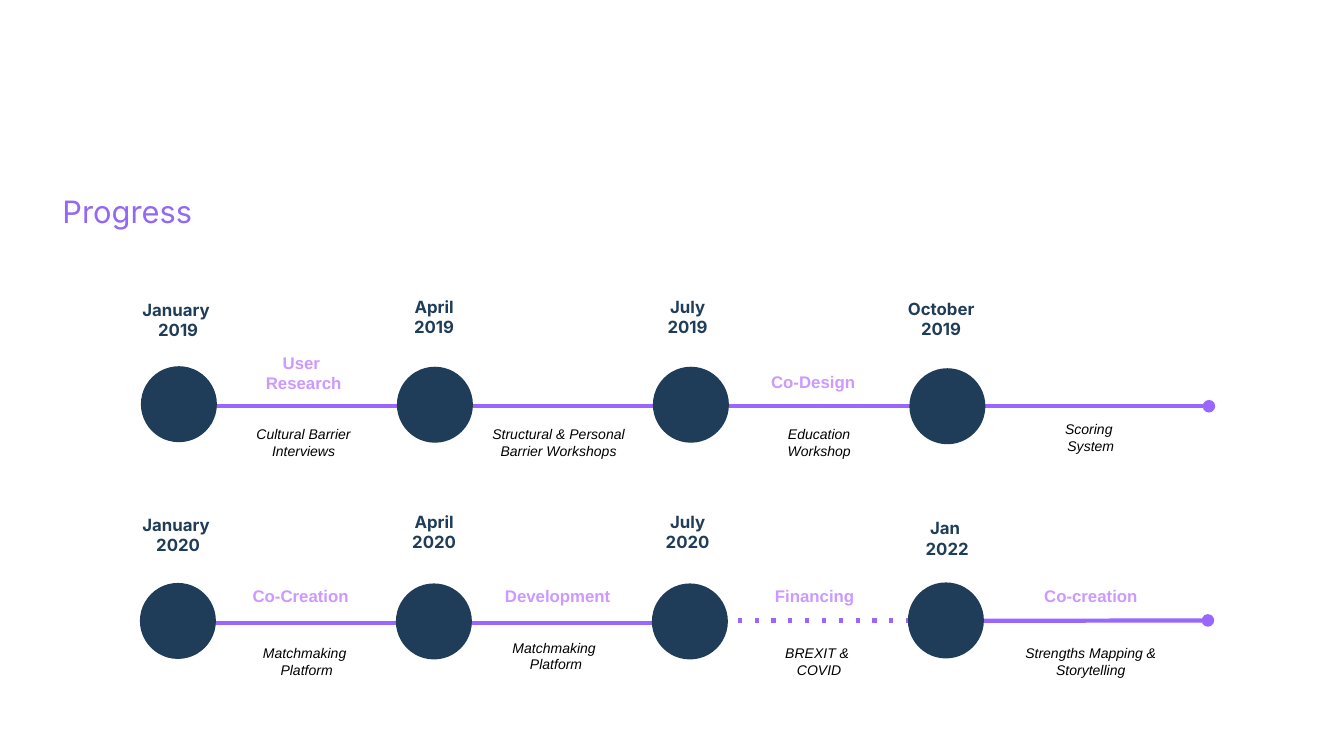
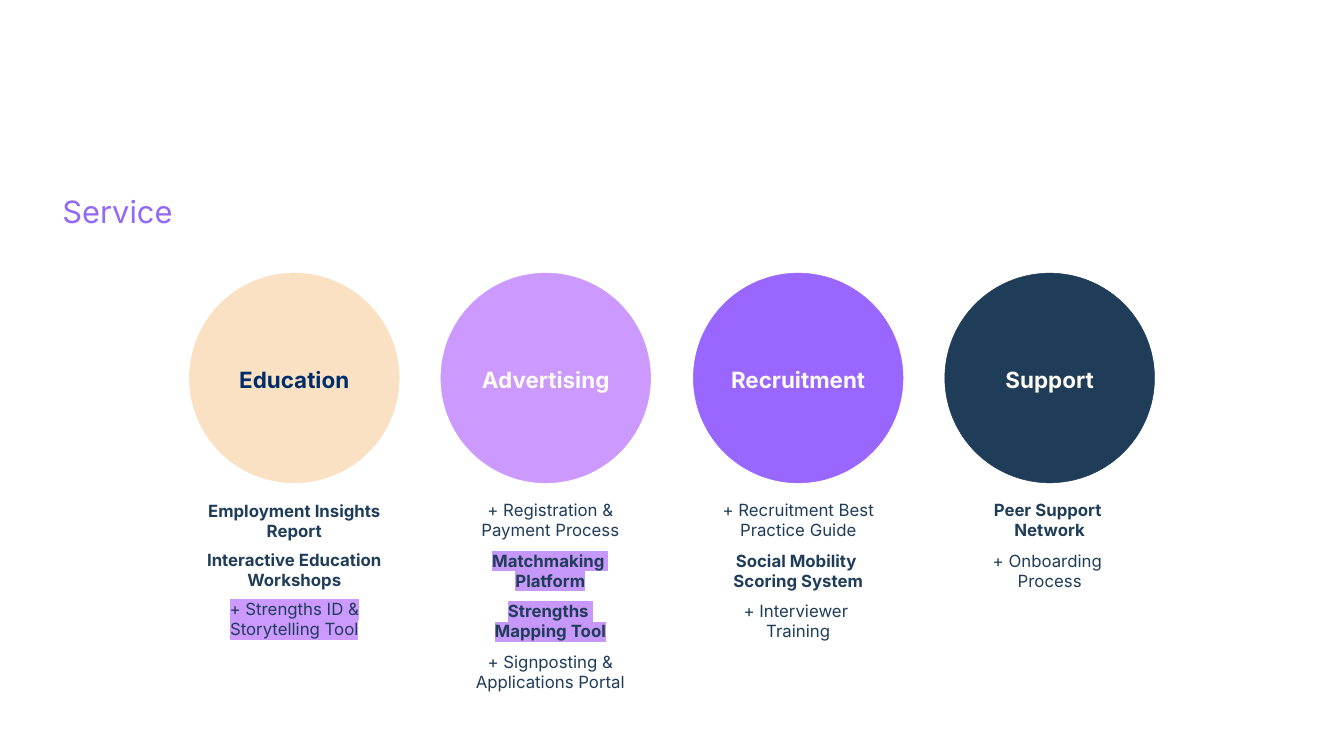
from lxml import etree
from pptx import Presentation
from pptx.dml.color import RGBColor
from pptx.enum import shapes, text
from pptx.oxml import ns
from pptx.util import Inches, Pt

COLORS = {
    "title": "9268F6",
    "navy": "1F3D59",
    "violet": "9966FF",
    "lilac": "CC99FF",
    "soft lilac": "C698F9",
    "sand": "FAE1C4",
    "deep blue": "002D69",
    "cream": "FEFCF3",
    "black": "000000",
}

TITLE_ONLY = 5
DOT = 1.48

# kind of timeline label: width, height, font settings
LABELS = {
    "date": (3.01, 0.91, dict(size=24, color="navy", bold=True)),
    "phase": (3.85, 0.5, dict(size=24, color="lilac", font="Arial", bold=True)),
    "note": (3.85, 0.77, dict(size=20, color="black", font="Arial", italic=True)),
}

# from x, from y, to x, to y, dotted, round ends
TRACKS = [
    (23.99, 8.06, 3.43, 8.06, False, True),
    (18.73, 12.31, 13.69, 12.31, True, False),
    (13.71, 12.36, 3.41, 12.36, False, False),
    (23.97, 12.31, 18.73, 12.32, False, True),
]

MILESTONES = [
    (2.81, 7.28), (7.89, 7.29), (12.97, 7.29), (18.06, 7.32),
    (2.79, 11.58), (7.87, 11.59), (12.95, 11.59), (18.03, 11.57),
]

# kind, left, top, lines
TIMELINE_TEXT = [
    ("date", 2.03, 5.89, ["January ", "2019"]),
    ("date", 7.11, 5.83, ["April", "2019"]),
    ("date", 12.14, 5.83, ["July", "2019"]),
    ("date", 17.17, 5.87, ["October", "2019"]),
    ("phase", 4.1, 6.95, ["User ", "Research"]),
    ("phase", 14.21, 7.32, ["Co-Design"]),
    ("note", 4.1, 8.39, ["Cultural Barrier", "Interviews"]),
    ("note", 9.16, 8.39, ["Structural & Personal", "Barrier Workshops"]),
    ("note", 14.33, 8.4, ["Education", "Workshop"]),
    ("note", 19.72, 8.29, ["Scoring ", "System"]),
    ("date", 2.03, 10.16, ["January ", "2020"]),
    ("date", 7.11, 10.1, ["April", "2020"]),
    ("date", 12.14, 10.1, ["July", "2020"]),
    ("date", 17.29, 10.23, ["Jan ", "2022"]),
    ("phase", 4.04, 11.58, ["Co-Creation"]),
    ("phase", 9.14, 11.58, ["Development"]),
    ("phase", 14.24, 11.58, ["Financing"]),
    ("phase", 19.72, 11.58, ["Co-creation"]),
    ("note", 4.16, 12.74, ["Matchmaking ", "Platform"]),
    ("note", 9.11, 12.63, ["Matchmaking ", "Platform"]),
    ("note", 14.33, 12.74, ["BREXIT & ", "COVID"]),
    ("note", 19.72, 12.74, ["Strengths Mapping & Storytelling"]),
]

# name, circle left, fill, text colour, list left, list top, gap in points,
# offers (lines, bold, highlight)
SERVICES = [
    ("Education", 3.76, "sand", "deep blue", 3.76, 9.88, 12.7, [
        (["Employment Insights Report"], True, None),
        (["Interactive Education Workshops"], True, None),
        (["+ Strengths ID & Storytelling Tool"], False, "lilac"),
    ]),
    ("Advertising", 8.75, "lilac", "cream", 8.84, 9.87, 14.5, [
        (["+ Registration & Payment Process"], False, None),
        (["Matchmaking ", "Platform"], True, "soft lilac"),
        (["Strengths ", "Mapping Tool"], True, "soft lilac"),
        (["+ Signposting &", "Applications Portal"], False, None),
    ]),
    ("Recruitment", 13.76, "violet", "cream", 13.76, 9.87, 14.5, [
        (["+ Recruitment Best Practice Guide"], False, None),
        (["Social Mobility ", "Scoring System"], True, None),
        (["+ Interviewer ", "Training"], False, None),
    ]),
    ("Support", 18.75, "navy", "cream", 18.75, 9.87, 14.5, [
        (["Peer Support ", "Network"], True, None),
        (["+ Onboarding ", "Process"], False, None),
    ]),
]


def rgb(name):
    return RGBColor.from_string(COLORS[name])


def style(paragraph, size, color, font="Inter", bold=False, italic=False,
          align=text.PP_ALIGN.CENTER):
    paragraph.alignment = align
    for run in paragraph.runs:
        run.font.name = font
        run.font.size = Pt(size)
        run.font.bold = bold
        run.font.italic = italic
        run.font.color.rgb = rgb(color)


def highlight(run, color):
    """Mark a run that already has its font colour."""
    mark = etree.Element(ns.qn("a:highlight"))
    etree.SubElement(mark, ns.qn("a:srgbClr"), val=COLORS[color])
    run.font._element.find(ns.qn("a:solidFill")).addnext(mark)


def set_insets(frame, inset):
    frame.margin_left = frame.margin_right = Inches(inset)
    frame.margin_top = frame.margin_bottom = Inches(inset)


def add_titled_slide(prs, heading):
    slide = prs.slides.add_slide(prs.slide_layouts[TITLE_ONLY])
    title = slide.shapes.title
    title.left, title.top = Inches(1.16), Inches(3.89)
    title.width, title.height = Inches(8.91), Inches(1.22)
    frame = title.text_frame
    frame.text = heading
    frame.auto_size = text.MSO_AUTO_SIZE.NONE
    frame.vertical_anchor = text.MSO_ANCHOR.TOP
    set_insets(frame, 0.08)
    frame.paragraphs[0].line_spacing = 0.8
    style(frame.paragraphs[0], 44, "title", align=text.PP_ALIGN.LEFT)
    return slide


def add_text_frame(slide, left, top, width, height):
    box = slide.shapes.add_textbox(Inches(left), Inches(top), Inches(width), Inches(height))
    box.text_frame.word_wrap = True
    return box.text_frame


def add_label(slide, kind, left, top, lines):
    width, height, font = LABELS[kind]
    frame = add_text_frame(slide, left, top, width, height)
    frame.text = "\n".join(lines)
    for paragraph in frame.paragraphs:
        style(paragraph, **font)


def add_circle(slide, left, top, size, fill, line_width):
    circle = slide.shapes.add_shape(shapes.MSO_SHAPE.OVAL, Inches(left), Inches(top),
                                    Inches(size), Inches(size))
    circle.shadow.inherit = False
    circle.fill.solid()
    circle.fill.fore_color.rgb = rgb(fill)
    circle.line.color.rgb = rgb(fill)
    circle.line.width = Pt(line_width)
    return circle


def add_track(slide, x1, y1, x2, y2, dotted, round_ends):
    track = slide.shapes.add_connector(shapes.MSO_CONNECTOR.STRAIGHT, Inches(x1), Inches(y1),
                                       Inches(x2), Inches(y2))
    track.line.color.rgb = rgb("violet")
    track.line.width = Pt(6)
    properties = track._element.spPr
    outline = properties.find(ns.qn("a:ln"))
    if dotted:
        etree.SubElement(outline, ns.qn("a:prstDash"), val="dot")
    if round_ends:
        for end in ("a:headEnd", "a:tailEnd"):
            etree.SubElement(outline, ns.qn(end), type="oval")
    etree.SubElement(properties, ns.qn("a:effectLst"))


def add_service_circle(slide, name, left, fill, color):
    frame = add_circle(slide, left, 5.42, 4.16, fill, 0.75).text_frame
    frame.text = name
    frame.word_wrap = False
    frame.vertical_anchor = text.MSO_ANCHOR.MIDDLE
    set_insets(frame, 0.08)
    frame.paragraphs[0].line_spacing = 1.1
    style(frame.paragraphs[0], 32, color, bold=True)


def add_offers(slide, left, top, gap, offers):
    line_count = 2 * len(offers)
    frame = add_text_frame(slide, left, top, 4.16, 0.1 + 0.4 * line_count + 0.2 * (len(offers) - 1))
    frame.text = "\n".join(line for lines, _, _ in offers for line in lines)
    paragraphs = iter(frame.paragraphs)
    for index, (lines, bold, mark) in enumerate(offers):
        for row in range(len(lines)):
            paragraph = next(paragraphs)
            style(paragraph, 24, "navy", bold=bold)
            if index and row == 0:
                paragraph.space_before = Pt(gap)
            if mark:
                highlight(paragraph.runs[0], mark)


def build_progress(prs):
    slide = add_titled_slide(prs, "Progress")
    for track in TRACKS:
        add_track(slide, *track)
    for left, top in MILESTONES:
        add_circle(slide, left, top, DOT, "navy", 2)
    for label in TIMELINE_TEXT:
        add_label(slide, *label)


def build_service(prs):
    slide = add_titled_slide(prs, "Service")
    for name, left, fill, color, list_left, list_top, gap, offers in SERVICES:
        add_service_circle(slide, name, left, fill, color)
        add_offers(slide, list_left, list_top, gap, offers)


def main():
    prs = Presentation()
    prs.slide_width, prs.slide_height = Inches(26.67), Inches(15)
    build_progress(prs)
    build_service(prs)
    prs.save("out.pptx")


if __name__ == "__main__":
    main()
